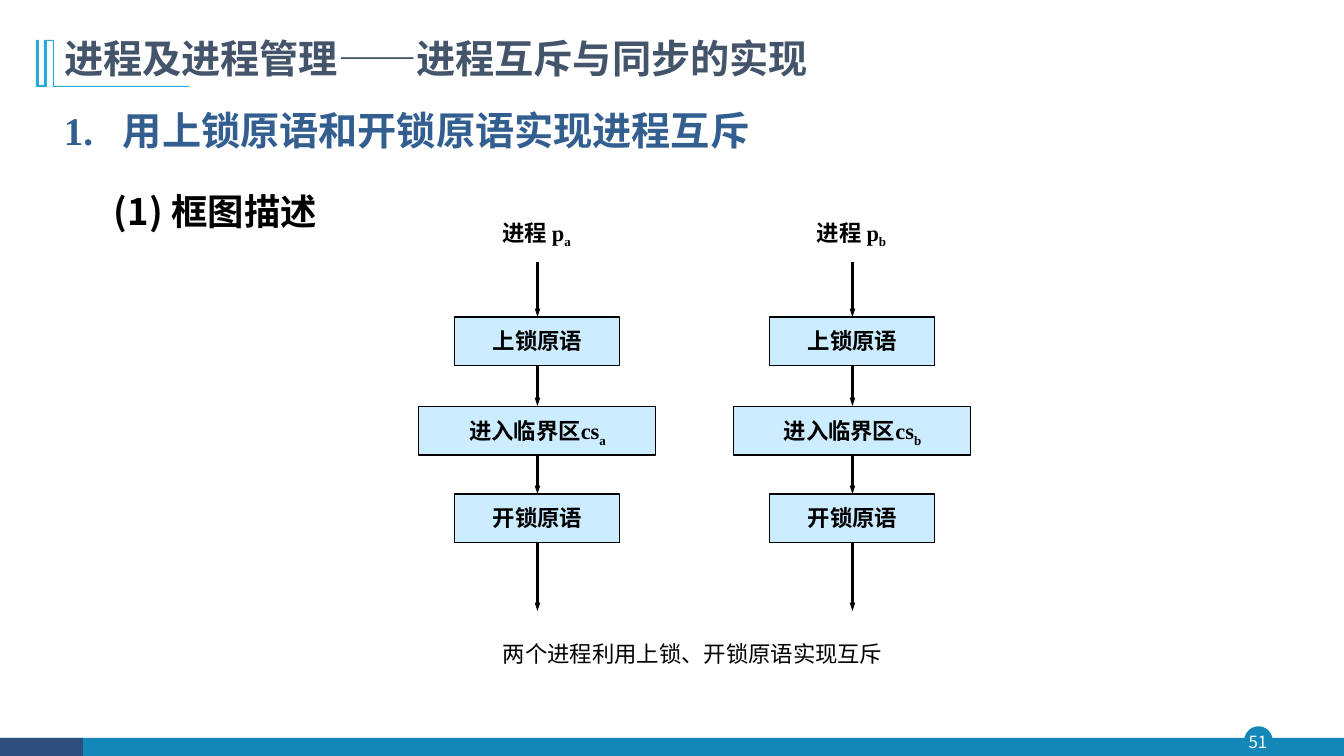
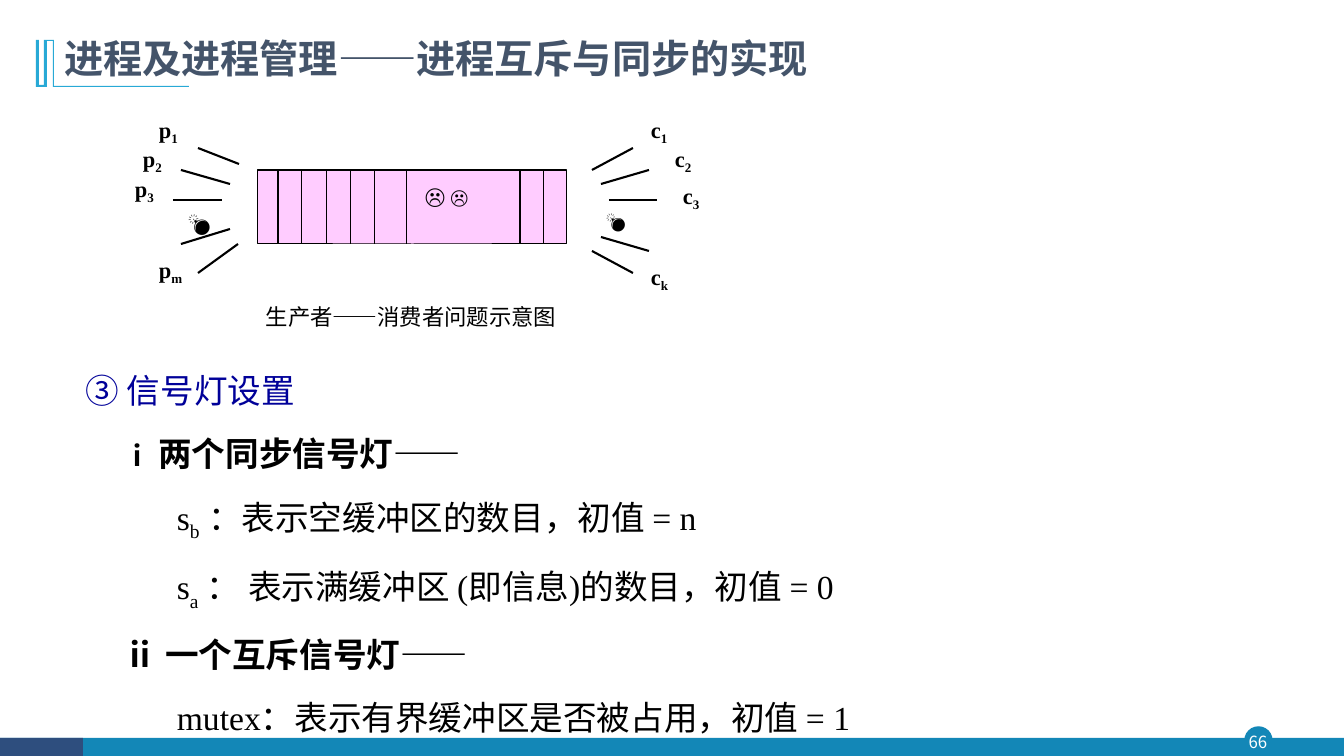
from lxml import etree
from pptx import Presentation
from pptx.dml.color import RGBColor
from pptx.enum.shapes import MSO_CONNECTOR, MSO_SHAPE
from pptx.enum.text import MSO_ANCHOR, PP_ALIGN
from pptx.oxml.ns import qn
from pptx.util import Emu, Pt

PX = 914400 / 100.8
SLIDE_WIDTH, SLIDE_HEIGHT = 1344, 756
SANS, SERIF, ARIAL = "Noto Sans CJK SC", "Times New Roman", "Arial"
BLACK, WHITE = "000000", "FFFFFF"
TEAL, NAVY, CYAN = "1387B7", "2E4E7E", "28A9D6"
TITLE_GREY, HEADING_BLUE, TOPIC_BLUE = "44546A", "335F90", "000099"
BOX_BLUE, BUFFER_PINK = "CCECFF", "FFCCFF"
RECTANGLE, ELLIPSE = MSO_SHAPE.RECTANGLE, MSO_SHAPE.OVAL
STRAIGHT = MSO_CONNECTOR.STRAIGHT
LEFT, CENTER = PP_ALIGN.LEFT, PP_ALIGN.CENTER
TOP, MIDDLE, BOTTOM = MSO_ANCHOR.TOP, MSO_ANCHOR.MIDDLE, MSO_ANCHOR.BOTTOM
TOP_SIDE, BOTTOM_SIDE = 0, 2
TITLE = "进程及进程管理——进程互斥与同步的实现"


def px(length):
    return Emu(round(length * PX))


def color(value):
    return RGBColor.from_string(value)


def add_run(paragraph, text, size=16, font=SERIF, fill=BLACK, bold=False, subscript=False):
    run = paragraph.add_run()
    run.text = text
    run.font.size, run.font.bold = Pt(size), bold
    run.font.color.rgb = color(fill)
    run.font.name = font
    properties = run._r.get_or_add_rPr()
    etree.SubElement(properties, qn("a:ea")).set("typeface", SANS)
    if subscript:
        properties.set("baseline", "-25000")


def fill_paragraph(paragraph, pieces, align=LEFT, spacing=1.0, before=0, margin=0, hanging=0,
                   **style):
    """Pieces is a string, or a list of strings and (string, overrides) pairs."""
    paragraph.alignment, paragraph.line_spacing = align, spacing
    paragraph.space_before = Pt(before)
    properties = paragraph._p.get_or_add_pPr()
    if margin:
        properties.set("marL", str(px(margin)))
        properties.set("indent", str(-px(hanging)))
    for piece in [pieces] if isinstance(pieces, str) else pieces:
        text, overrides = (piece, {}) if isinstance(piece, str) else piece
        add_run(paragraph, text, **{**style, **overrides})


def add_text(slide, box, pieces, anchor=TOP, inset=True, **style):
    frame = slide.shapes.add_textbox(*map(px, box)).text_frame
    frame.word_wrap, frame.vertical_anchor = True, anchor
    if not inset:
        frame.margin_left = frame.margin_right = frame.margin_top = frame.margin_bottom = 0
    fill_paragraph(frame.paragraphs[0], pieces, **style)
    return frame


def paint(shape, fill, line=None, width=0.75):
    shape.shadow.inherit = False
    shape.fill.solid()
    shape.fill.fore_color.rgb = color(fill)
    if line:
        shape.line.color.rgb = color(line)
        shape.line.width = Pt(width)
    else:
        shape.line.fill.background()


def add_box(slide, box, fill, line=None, kind=RECTANGLE, pieces=None, width=0.75):
    shape = slide.shapes.add_shape(kind, *map(px, box))
    paint(shape, fill, line, width)
    if pieces:
        shape.text_frame.vertical_anchor = TOP
        fill_paragraph(shape.text_frame.paragraphs[0], pieces, align=CENTER, spacing=1.2,
                       bold=True)
    return shape


def add_line(slide, start, end, width, arrow=False):
    connector = slide.shapes.add_connector(STRAIGHT, *map(px, (*start, *end)))
    connector.line.color.rgb = color(BLACK)
    connector.line.width = Pt(width)
    if arrow:
        tail = etree.SubElement(connector.line._get_or_add_ln(), qn("a:tailEnd"))
        for key, value in (("type", "triangle"), ("w", "sm"), ("len", "med")):
            tail.set(key, value)
    etree.SubElement(connector._element.spPr, qn("a:effectLst"))
    return connector


def add_ornament(slide, left, top):
    outline = [(18, 0), (18, 46), (153, 46), (153, 47), (17, 47), (17, 1), (11, 1), (11, 47),
               (0, 47), (0, 0), (3, 0), (3, 45), (8, 45), (8, 0)]
    points = [(left + x, top + y) for x, y in outline]
    builder = slide.shapes.build_freeform(*points[0], scale=PX)
    builder.add_line_segments(points[1:], close=True)
    paint(builder.convert_to_shape(), CYAN)


def add_footer(slide, top, number):
    add_box(slide, (1245, top - 11, 27, 27), TEAL, TEAL, ELLIPSE, width=1)
    add_box(slide, (0, top, SLIDE_WIDTH, SLIDE_HEIGHT - top), TEAL)
    add_box(slide, (0, top, 83, SLIDE_HEIGHT - top), NAVY)
    add_text(slide, (1242, top - 12, 32, 31), str(number), MIDDLE, inset=False,
             align=CENTER, size=12, font=SANS, fill=WHITE)


def add_page(presentation, number):
    """Add a slide with the shared title, ornament and footer."""
    slide = presentation.slides.add_slide(presentation.slide_layouts[5])
    add_footer(slide, 738, number)
    add_ornament(slide, 36, 40)
    title = slide.shapes.title
    title.left, title.top, title.width, title.height = map(px, (54, 31, 1057, 56))
    title.text_frame.vertical_anchor = BOTTOM
    fill_paragraph(title.text_frame.paragraphs[0], TITLE, spacing=0.9,
                   size=28, font=SANS, fill=TITLE_GREY, bold=True)
    return slide


def add_process_column(slide, left, top, name):
    width = 237
    middle = left + width / 2
    suffix = (name, {"subscript": True})
    add_text(slide, (left - 1, top, width, 37), ["进程 p", suffix], align=CENTER, bold=True)
    steps = [(103, 165, "上锁原语"), (192, 237, ["进入临界区cs", suffix]), (280, 165, "开锁原语")]
    boxes = [add_box(slide, (middle - size / 2, top + offset, size, 49), BOX_BLUE, BLACK,
                     pieces=pieces) for offset, size, pieces in steps]
    for source, target in zip([None, *boxes], [*boxes, None]):
        arrow = add_line(slide, (middle, top + 48), (middle, top + 397), 2, arrow=True)
        if source:
            arrow.begin_connect(source, BOTTOM_SIDE)
        if target:
            arrow.end_connect(target, TOP_SIDE)


def add_mutex_slide(presentation):
    slide = add_page(presentation, 51)
    frame = add_text(slide, (54, 92, 917, 144), "1.\t用上锁原语和开锁原语实现进程互斥",
                     spacing=1.2, margin=59, hanging=59, size=28, fill=HEADING_BLUE, bold=True)
    fill_paragraph(frame.add_paragraph(), "(1) 框图描述", spacing=1.5, before=10, margin=50,
                   size=26, font=SANS, bold=True)
    for left, name in ((419, "a"), (734, "b")):
        add_process_column(slide, left, 214, name)
    add_text(slide, (493, 630, 416, 42), "两个进程利用上锁、开锁原语实现互斥", spacing=1.2)


def add_buffer(slide, left, top):
    height = 74
    add_box(slide, (left, top, 309, height), BUFFER_PINK, BLACK)
    for offset in (20, 44, 69, 93, 117, 149, 262, 286):
        add_line(slide, (left + offset, top), (left + offset, top + height), 0.75)
    add_text(slide, (left + 157, top + 7, 109, 37),
             [("☹ ", {"font": SANS}), ("☹", {"size": 14, "font": ARIAL})], bold=True)


def add_fan(slide, left, top, letter, labels, spokes, bomb):
    """Draw one side's labels, spokes and bomb; offsets are taken from left and top."""
    for x, y, name in labels:
        add_text(slide, (left + x, top + y, 64, 37), [letter, (name, {"subscript": True})],
                 bold=True)
    for x1, y1, x2, y2 in spokes:
        add_line(slide, (left + x1, top + y1), (left + x2, top + y2), 1.5)
    x, y, size, font = bomb
    add_text(slide, (left + x, top + y, 48, 37), "💣", size=size, font=font, bold=True)


def add_producer_consumer(slide, left, top):
    add_buffer(slide, left + 133, top + 59)
    add_fan(slide, left, top, "p",
            [(24, 0, "1"), (8, 29, "2"), (0, 59, "3"), (24, 140, "m")],
            [(73, 37, 114, 53), (56, 59, 105, 73), (48, 89, 97, 89),
             (56, 133, 105, 118), (73, 162, 113, 133)], (53, 93, 16, SERIF))
    add_fan(slide, left + 467, top, "c",
            [(49, 0, "1"), (73, 29, "2"), (81, 66, "3"), (49, 147, "k")],
            [(0, 59, 41, 37), (9, 73, 57, 59), (17, 89, 65, 89),
             (9, 126, 57, 140), (0, 140, 41, 162)], (4, 93, 14, ARIAL))
    add_text(slide, (left + 131, top + 182, 334, 42), "生产者——消费者问题示意图", spacing=1.2)


def add_semaphore_slide(presentation):
    slide = add_page(presentation, 66)
    frame = add_text(slide, (76, 353, 846, 384), "③ 信号灯设置",
                     spacing=1.3, size=24, fill=TOPIC_BLUE)
    lower = {"subscript": True}
    lines = [
        (38, True, [("ⅰ ", {"font": SANS, "size": 20}), "两个同步信号灯——"]),
        (91, False, ["s", ("b", lower), " ：表示空缓冲区的数目，初值 = n"]),
        (91, False, ["s", ("a", lower), " ： 表示满缓冲区 (即信息)的数目，初值 = 0"]),
        (38, True, [("ⅱ ", {"font": SANS}), "一个互斥信号灯——"]),
        (91, False, "mutex：表示有界缓冲区是否被占用，初值 = 1"),
    ]
    for margin, bold, pieces in lines:
        fill_paragraph(frame.add_paragraph(), pieces, spacing=1.3, before=7.2, margin=margin,
                       size=24, bold=bold)
    add_producer_consumer(slide, 125, 111)


def main():
    presentation = Presentation()
    presentation.slide_width, presentation.slide_height = px(SLIDE_WIDTH), px(SLIDE_HEIGHT)
    add_mutex_slide(presentation)
    add_semaphore_slide(presentation)
    presentation.save("out.pptx")


if __name__ == "__main__":
    main()
